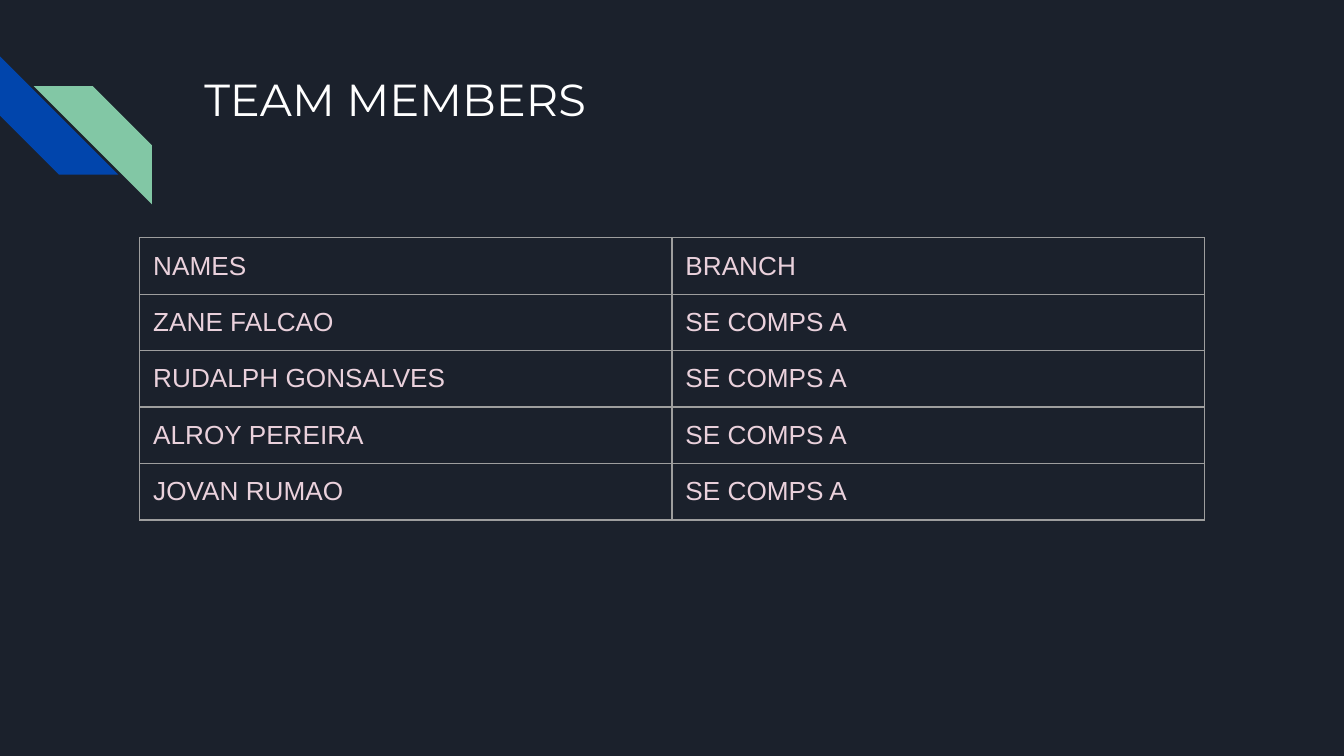
from dataclasses import dataclass

from lxml.etree import SubElement
from pptx import Presentation
from pptx.dml.color import RGBColor
from pptx.enum.shapes import MSO_SHAPE as Preset
from pptx.enum.text import MSO_ANCHOR as Anchor, MSO_AUTO_SIZE as AutoSize, PP_ALIGN as Align
from pptx.oxml.ns import qn
from pptx.util import Inches, Pt


@dataclass(frozen=True)
class Theme:
    """Colours, fonts and sizes of the slide."""
    background: str = "1B212C"
    blue: str = "0145AC"
    green: str = "82C7A5"
    title: str = "FFFFFF"
    body: str = "EAD1DC"
    border: str = "9E9E9E"
    title_font: str = "Montserrat"
    body_font: str = "Arial"
    title_size: float = 24
    body_size: float = 14
    border_width: float = 0.75


THEME = Theme()
SLIDE_WIDTH = Inches(10)
SLIDE_HEIGHT = SLIDE_WIDTH * 9 // 16
MARGINS = {f"margin_{side}": Inches(0.1) for side in ("left", "top", "right", "bottom")}
MEMBERS = ["ZANE FALCAO", "RUDALPH GONSALVES", "ALROY PEREIRA", "JOVAN RUMAO"]
ROWS = [("NAMES", "BRANCH")] + [(name, "SE COMPS A") for name in MEMBERS]


def apply_format(target, values):
    """Set each attribute in a dict of format values."""
    for name, value in values.items():
        setattr(target, name, value)


def format_font(font, name, size, color):
    """Set the typeface, size and colour of a font."""
    apply_format(font, {"name": name, "size": Pt(size)})
    font.color.rgb = RGBColor.from_string(color)


def add_stripes(slide, left, top, size):
    """Place the two diagonal stripes from the given corner."""
    stripes = [(0, 0, 270, THEME.blue), (0.25, 0.22, 90, THEME.green)]
    for across, down, rotation, color in stripes:
        shape = slide.shapes.add_shape(
            Preset.DIAGONAL_STRIPE, Inches(left + across), Inches(top + down),
            Inches(size), Inches(size))
        shape.rotation = rotation
        shape.shadow.inherit = False
        shape.fill.solid()
        shape.fill.fore_color.rgb = RGBColor.from_string(color)
        shape.line.fill.background()


def add_title(slide, text, left, top, width, height):
    """Move and format the title placeholder."""
    title = slide.shapes.title
    apply_format(title, {"left": Inches(left), "top": Inches(top),
                         "width": Inches(width), "height": Inches(height)})
    apply_format(title.text_frame, {
        **MARGINS, "text": text, "word_wrap": True,
        "auto_size": AutoSize.NONE, "vertical_anchor": Anchor.TOP})
    paragraph = title.text_frame.paragraphs[0]
    paragraph.alignment = Align.LEFT
    format_font(paragraph.runs[0].font, THEME.title_font, THEME.title_size, THEME.title)


def add_borders(cell):
    """Draw a thin line on all four sides of a cell."""
    properties = cell._tc.get_or_add_tcPr()
    for side in ("lnL", "lnR", "lnT", "lnB"):
        line = SubElement(properties, qn(f"a:{side}"), w=str(Pt(THEME.border_width)))
        fill = SubElement(line, qn("a:solidFill"))
        SubElement(fill, qn("a:srgbClr"), val=THEME.border)


def add_member_table(slide, rows, left, top, width, row_height):
    """Place the member table with equal columns and rows."""
    table = slide.shapes.add_table(
        len(rows), len(rows[0]), Inches(left), Inches(top),
        Inches(width), Inches(row_height * len(rows))).table
    apply_format(table, {"first_row": False, "horz_banding": False})
    for row_index, row in enumerate(rows):
        for column_index, text in enumerate(row):
            cell = table.cell(row_index, column_index)
            apply_format(cell, {**MARGINS, "text": text, "vertical_anchor": Anchor.TOP})
            add_borders(cell)
            cell.fill.background()
            run = cell.text_frame.paragraphs[0].runs[0]
            format_font(run.font, THEME.body_font, THEME.body_size, THEME.body)


def main():
    """Build and save the team slide."""
    presentation = Presentation()
    apply_format(presentation, {"slide_width": SLIDE_WIDTH, "slide_height": SLIDE_HEIGHT})
    slide = presentation.slides.add_slide(presentation.slide_layouts[5])
    slide.background.fill.solid()
    slide.background.fill.fore_color.rgb = RGBColor.from_string(THEME.background)
    add_stripes(slide, 0, 0.42, 0.88)
    add_title(slide, "TEAM MEMBERS", 1.42, 0.43, 7.7, 1)
    add_member_table(slide, ROWS, 1.04, 1.77, 7.92, 0.42)
    presentation.save("out.pptx")


if __name__ == "__main__":
    main()
